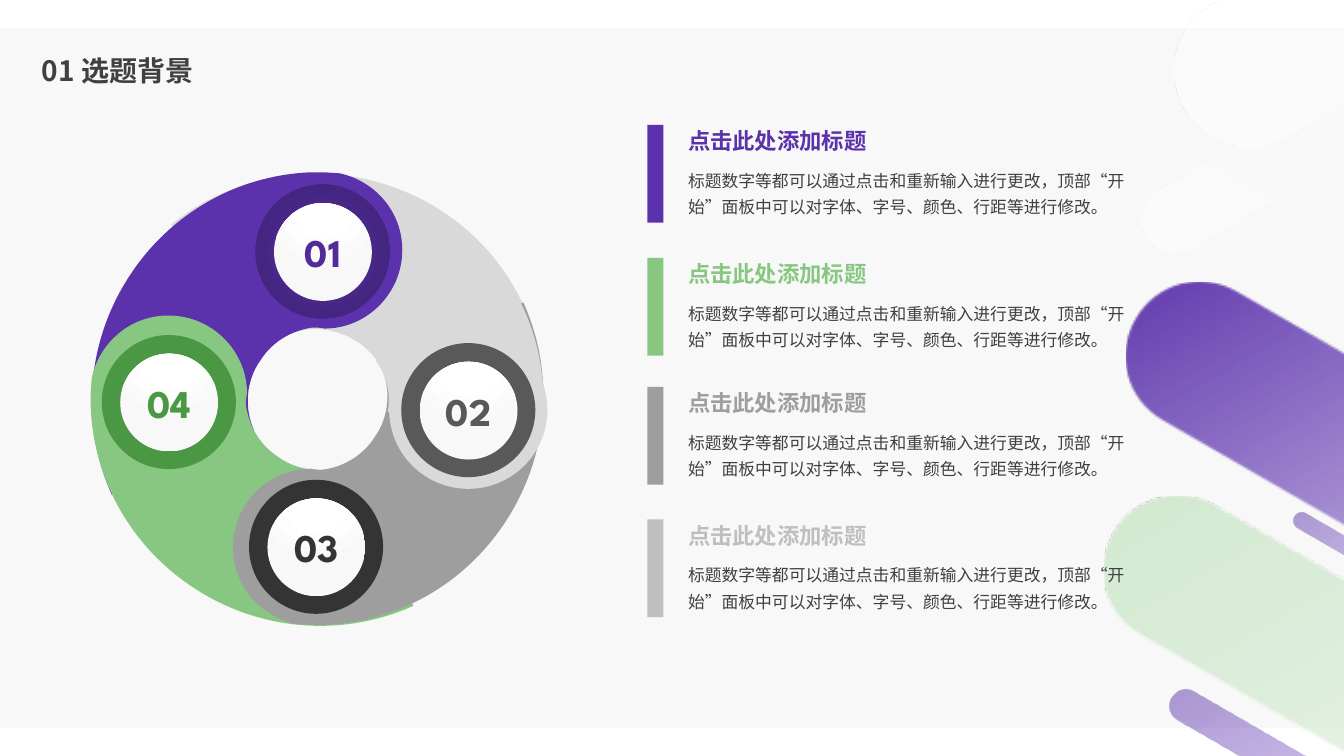
from typing import NamedTuple, Optional

from pptx import Presentation
from pptx.dml.color import RGBColor
from pptx.enum.shapes import MSO_SHAPE
from pptx.enum.text import MSO_ANCHOR, MSO_AUTO_SIZE, PP_ALIGN
from pptx.oxml import parse_xml
from pptx.oxml.ns import nsdecls, qn
from pptx.shapes.autoshape import Shape
from pptx.slide import Slide
from pptx.text.text import TextFrame
from pptx.util import Inches, Pt

COLUMNS, ROWS = 1333, 750
CELL = Inches(13.33) // COLUMNS
CJK_FONT, DISPLAY_FONT = "Noto Sans CJK SC", "League Spartan"
COLORS = {
    "panel": "F8F8F8", "white": "FFFFFF", "text": "404040",
    "purple": "5B32AB", "purple_mid": "5F34B2", "purple_deep": "512C98",
    "purple_dark": "442580", "purple_edge": "402378",
    "green": "87C782", "green_deep": "4A9744", "green_pale": "D0E9CE",
    "gray": "9E9E9E", "gray_light": "D9D9D9", "gray_soft": "BFBFBF",
    "gray_dark": "595959", "charcoal": "343434",
}
HEADING = "点击此处添加标题"
BODY = "标题数字等都可以通过点击和重新输入进行更改，顶部“开始”面板中可以对字体、字号、颜色、行距等进行修改。"
Point = tuple[float, float]
Outline = tuple[tuple[Point, ...], ...]


class Box(NamedTuple):
    """Columns and rows covered on the slide grid."""
    column: float
    row: float
    columns: float
    rows: float


class Stop(NamedTuple):
    """Gradient stop with percentages for position and opacity."""
    position: int
    color: str
    opacity: int = 100


class Pill(NamedTuple):
    """Slanted decorative bar."""
    box: Box
    rotation: int
    stops: tuple[Stop, ...]


class Badge(NamedTuple):
    """Numbered double disc."""
    number: str
    column: float
    row: float
    color: str


class Segment(NamedTuple):
    """Curved ring segment with the badge that sits on it, if any."""
    box: Box
    rotation: int
    color: str
    badge: Optional[Badge] = None


class Item(NamedTuple):
    """Heading and description beside a coloured bar."""
    row: float
    color: str


FADE = (Stop(85, "white", 50), Stop(100, "white", 50))
PURPLE = (Stop(0, "purple"), Stop(23, "purple_mid", 40), *FADE)
SOFT_PURPLE = (Stop(0, "purple", 50), *PURPLE[1:])
GREEN = (Stop(0, "green_pale"), Stop(22, "green_pale", 50), *FADE)
GLASS = (Stop(0, "white", 50), Stop(21, "white", 29), Stop(85, "white", 0), Stop(100, "white", 0))
PILLS = (
    Pill(Box(990, 758, 2055, 147), 210, PURPLE),
    Pill(Box(1096, -265, 1187, 151), 330, GLASS),
    Pill(Box(1102, 68, 527, 67), 330, GLASS),
    Pill(Box(968, 970, 2055, 147), 210, GREEN),
    Pill(Box(1268, 565, 244, 17), 210, SOFT_PURPLE),
    Pill(Box(1131, 793, 469, 33), 210, SOFT_PURPLE),
)
SEGMENTS = (
    Segment(Box(205, 151, 308, 320), 75, "gray_light"),
    Segment(Box(91, 171, 308, 320), 0, "purple", Badge("01", 253.5, 183, "purple_deep")),
    Segment(Box(96, 307, 308, 320), 270, "green", Badge("04", 101, 332.4, "green_deep")),
    Segment(Box(233, 301, 306, 319), 180, "gray", Badge("03", 247, 476, "charcoal")),
)
LAST_BADGE = Badge("02", 398, 340.4, "gray_dark")
ITEMS = (Item(113.5, "purple"), Item(245.3, "green"), Item(373.4, "gray"), Item(504.8, "gray_soft"))
DEEP_DISC = (Stop(0, "purple_deep"), Stop(23, "purple_deep"), Stop(69, "purple_dark"), Stop(97, "purple_edge"))
PEARL = (Stop(0, "white"), Stop(35, "white"), Stop(100, "panel"))
SWIRL: Outline = (
    ((231, 0),),
    ((246, 1),),
    ((282, 9), (308, 40), (308, 77)),
    ((308, 120), (273, 155), (231, 155)),
    ((224, 154),),
    ((219, 154),),
    ((198, 157), (179, 168), (167, 187)),
    ((153, 207), (151, 234), (161, 256)),
    ((20, 320),),
    ((-12, 249), (-5, 167), (38, 102)),
    ((78, 41), (144, 3), (217, 0)),
)


def place(shape: Shape, box: Box) -> None:
    """Put a shape on the grid."""
    shape.left, shape.top, shape.width, shape.height = (round(length * CELL) for length in box)


def paint(shape: Shape, color: str) -> None:
    """Give a shape a flat fill without outline or shadow."""
    shape.shadow.inherit = False
    shape.fill.solid()
    shape.fill.fore_color.rgb = RGBColor.from_string(COLORS[color])
    shape.line.fill.background()


def paint_gradient(shape: Shape, stops: tuple[Stop, ...], direction: str) -> None:
    """Replace the flat fill by a gradient."""
    paint(shape, stops[0].color)
    marks = "".join(
        f'<a:gs pos="{stop.position * 1000}"><a:srgbClr val="{COLORS[stop.color]}">'
        f'<a:alpha val="{stop.opacity * 1000}"/></a:srgbClr></a:gs>' for stop in stops)
    properties = shape._element.spPr
    properties.replace(properties.find(qn("a:solidFill")), parse_xml(
        f'<a:gradFill {nsdecls("a")} rotWithShape="1"><a:gsLst>{marks}</a:gsLst>{direction}</a:gradFill>'))


def radial(top: int, bottom: int) -> str:
    """Describe a circular gradient."""
    return (f'<a:path path="circle"><a:fillToRect l="50000" t="{top * 1000}" '
            f'r="50000" b="{bottom * 1000}"/></a:path>')


def add_preset(slide: Slide, kind: MSO_SHAPE, box: Box, color: str) -> Shape:
    """Add a flat preset shape."""
    shape = slide.shapes.add_shape(kind, 0, 0, 0, 0)
    place(shape, box)
    paint(shape, color)
    return shape


def add_outline(slide: Slide, box: Box, rotation: int, outline: Outline, color: str) -> Shape:
    """Add a rotated freeform whose steps are lines or cubic curves."""
    builder = slide.shapes.build_freeform(*outline[0][0], scale=CELL)
    builder.add_line_segments([step[-1] for step in outline[1:]])
    shape = builder.convert_to_shape()
    tags = ["moveTo"] + ["cubicBezTo" if len(step) == 3 else "lnTo" for step in outline[1:]]
    steps = "".join(
        f"<a:{tag}>" + "".join(f'<a:pt x="{round(x * CELL)}" y="{round(y * CELL)}"/>' for x, y in step)
        + f"</a:{tag}>" for tag, step in zip(tags, outline))
    paths = shape._element.spPr.find(qn("a:custGeom")).find(qn("a:pathLst"))
    paths.replace(paths[0], parse_xml(
        f'<a:path {nsdecls("a")} w="{round(box.columns * CELL)}" h="{round(box.rows * CELL)}">'
        f"{steps}<a:close/></a:path>"))
    place(shape, box)
    shape.rotation = rotation
    paint(shape, color)
    return shape


def write(frame: TextFrame, text: str, size: int, color: str, font: str, bold: bool = False,
          spacing: Optional[float] = None) -> None:
    """Write one styled run."""
    paragraph = frame.paragraphs[0]
    paragraph.line_spacing = spacing
    run = paragraph.add_run()
    run.text = text
    run.font.size, run.font.bold, run.font.name = Pt(size), bold, font
    run.font.color.rgb = RGBColor.from_string(COLORS[color])
    run._r.get_or_add_rPr().append(parse_xml(f'<a:ea {nsdecls("a")} typeface="{CJK_FONT}"/>'))


def add_text(slide: Slide, box: Box, wrap: bool = True, grow: bool = True) -> TextFrame:
    """Add an empty text box."""
    shape = slide.shapes.add_textbox(0, 0, 0, 0)
    place(shape, box)
    shape.text_frame.word_wrap = wrap
    shape.text_frame.auto_size = MSO_AUTO_SIZE.SHAPE_TO_FIT_TEXT if grow else MSO_AUTO_SIZE.NONE
    return shape.text_frame


def add_pill(slide: Slide, pill: Pill) -> None:
    """Draw a slanted bar with one round end."""
    length, height = pill.box.columns, pill.box.rows
    radius, handle = height / 2, height * 0.22
    outline = (
        ((length, 0),), ((radius, 0),),
        ((handle, 0), (0, handle), (0, radius)),
        ((0, height - handle), (handle, height), (radius, height)),
        ((length, height),),
    )
    mirrored = pill.rotation == 210
    if mirrored:
        outline = tuple(tuple((length - x, y) for x, y in step) for step in outline)
    shape = add_outline(slide, pill.box, pill.rotation, outline, "white")
    paint_gradient(shape, pill.stops, f'<a:lin ang="{(210 if mirrored else 330) * 60000}" scaled="0"/>')


def add_badge(slide: Slide, badge: Badge) -> None:
    """Draw a numbered double disc."""
    disc = add_preset(slide, MSO_SHAPE.OVAL, Box(badge.column, badge.row, 133, 133), badge.color)
    if badge.color == "purple_deep":
        paint_gradient(disc, DEEP_DISC, radial(50, 50))
    face = add_preset(slide, MSO_SHAPE.OVAL, Box(badge.column + 18.3, badge.row + 18.5, 97, 97), "white")
    paint_gradient(face, PEARL, radial(-80, 180))
    face.text_frame.vertical_anchor = MSO_ANCHOR.MIDDLE
    face.text_frame.paragraphs[0].alignment = PP_ALIGN.CENTER
    write(face.text_frame, badge.number, 28, badge.color, DISPLAY_FONT, bold=True)


def add_item(slide: Slide, item: Item) -> None:
    """Draw a bar with its heading and description."""
    write(add_text(slide, Box(672.6, item.row + 45, 459, 63)), BODY, 12, "text", CJK_FONT, spacing=1.3)
    write(add_text(slide, Box(672.6, item.row, 200, 45), wrap=False), HEADING, 16, item.color,
          DISPLAY_FONT, bold=True, spacing=1.3)
    add_preset(slide, MSO_SHAPE.RECTANGLE, Box(642, item.row + 10.5, 16, 97), item.color)


def main() -> None:
    """Build and save the slide."""
    presentation = Presentation()
    presentation.slide_width, presentation.slide_height = COLUMNS * CELL, ROWS * CELL
    slide = presentation.slides.add_slide(presentation.slide_layouts[6])
    add_preset(slide, MSO_SHAPE.RECTANGLE, Box(0, 28, COLUMNS, 694), "panel")
    for pill in PILLS:
        add_pill(slide, pill)
    title = add_text(slide, Box(31.6, 43, 499, 58), grow=False)
    title.vertical_anchor = MSO_ANCHOR.MIDDLE
    title.paragraphs[0].space_before = Pt(10)
    write(title, "01 选题背景", 20, "text", CJK_FONT, bold=True, spacing=0.9)
    for segment in SEGMENTS:
        add_outline(slide, segment.box, segment.rotation, SWIRL, segment.color)
        if segment.badge:
            add_badge(slide, segment.badge)
    for item in ITEMS:
        add_item(slide, item)
    arc = add_preset(slide, MSO_SHAPE.BLOCK_ARC, Box(101, 178, 438, 438), "gray_light")
    for index, value in enumerate((194.03, 6.13, 0.35)):
        arc.adjustments[index] = value
    add_preset(slide, MSO_SHAPE.OVAL, Box(386, 328, 157, 157), "gray_light")
    add_badge(slide, LAST_BADGE)
    presentation.save("out.pptx")


main()
